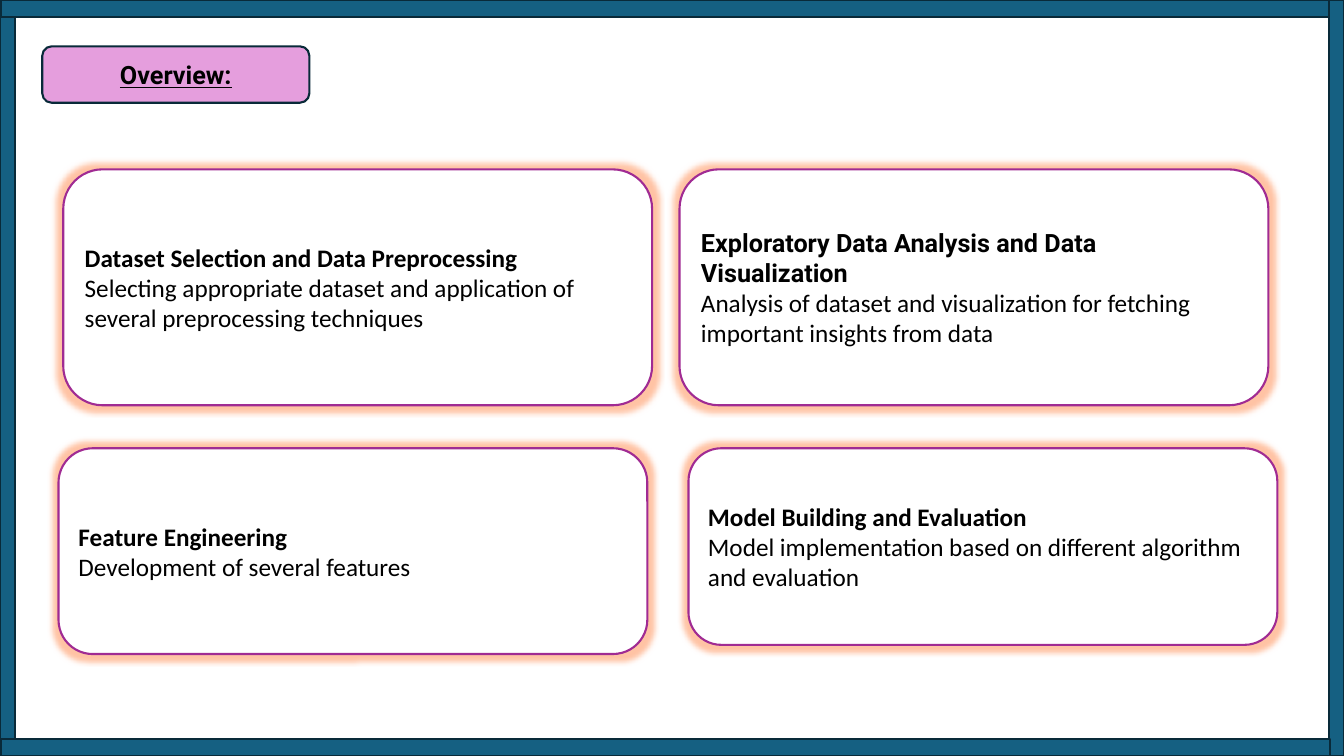
import pptx
import pptx.dml.color
import pptx.enum.shapes
import pptx.enum.text
import pptx.oxml
import pptx.oxml.ns
import pptx.util

Pt = pptx.util.Pt
SHAPES = pptx.enum.shapes.MSO_SHAPE
ALIGN = pptx.enum.text.PP_ALIGN

TITLE = "Overview:"
TITLE_AREA = (30.2, 33.1, 190.8, 40.3)

# left, top, height, heading, heading font, description
CARDS = [
    (45.2, 121, 168.5, "Dataset Selection and Data Preprocessing", "Calibri",
     "Selecting appropriate dataset and application of several preprocessing techniques"),
    (485.4, 121, 168.5, "Exploratory Data Analysis and Data Visualization", "Roboto",
     "Analysis of dataset and visualization for fetching important insights from data"),
    (491.8, 320.2, 140.4, "Model Building and Evaluation", "Calibri",
     "Model implementation based on different algorithm and evaluation"),
    (41.8, 320.2, 147, "Feature Engineering", "Calibri",
     "Development of several features"),
]
CARD_WIDTH = 420.6

PAGE_WIDTH, PAGE_HEIGHT = 960, 540
SIDE_BAR, END_BAR = 10.8, 12.2

THEME = {
    "bar": "156082", "edge": "092A39", "title": "E59EDD",
    "card": "FFFFFF", "card_edge": "A02B93", "glow": "FF6A1D",
    "text": "000000", "size": 18, "line": 1.5,
    "glow_radius": 8, "glow_alpha": 40000, "body_font": "Calibri",
}


def colour(name):
    return pptx.dml.color.RGBColor.from_string(THEME[name])


def add_box(page, kind, area, fill, edge):
    box = page.shapes.add_shape(kind, *(Pt(length) for length in area))
    box.shadow.inherit = False
    box.fill.solid()
    box.fill.fore_color.rgb = colour(fill)
    box.line.color.rgb = colour(edge)
    box.line.width = Pt(THEME["line"])
    box.text_frame.word_wrap = True
    box.text_frame.vertical_anchor = pptx.enum.text.MSO_ANCHOR.MIDDLE
    return box


def write(para, text, font, align=ALIGN.LEFT, bold=False, underline=False):
    para.alignment = align
    span = para.add_run()
    span.text = text
    span.font.name = font
    span.font.size = Pt(THEME["size"])
    span.font.bold = bold
    span.font.underline = underline
    span.font.color.rgb = colour("text")


def add_glow(box):
    effects = box.element.spPr.find(pptx.oxml.ns.qn("a:effectLst"))
    effects.append(pptx.oxml.parse_xml(
        f'<a:glow {pptx.oxml.ns.nsdecls("a")} rad="{Pt(THEME["glow_radius"])}">'
        f'<a:srgbClr val="{THEME["glow"]}"><a:alpha val="{THEME["glow_alpha"]}"/>'
        '</a:srgbClr></a:glow>'))


def add_frame(page):
    """Draw the four bars along the slide's edges."""
    inner_width = PAGE_WIDTH - SIDE_BAR
    for area in [
        (0, 0, SIDE_BAR, PAGE_HEIGHT),
        (0.7, 0, inner_width, END_BAR),
        (inner_width, 0, SIDE_BAR, PAGE_HEIGHT),
        (0.7, PAGE_HEIGHT - END_BAR, inner_width, END_BAR),
    ]:
        add_box(page, SHAPES.RECTANGLE, area, "bar", "edge")


def main():
    deck = pptx.Presentation()
    deck.slide_width, deck.slide_height = Pt(PAGE_WIDTH), Pt(PAGE_HEIGHT)
    page = deck.slides.add_slide(deck.slide_layouts[6])

    title = add_box(page, SHAPES.ROUNDED_RECTANGLE, TITLE_AREA, "title", "edge")
    write(title.text_frame.paragraphs[0], TITLE, "Roboto", ALIGN.CENTER, True, True)

    for left, top, height, heading, font, description in CARDS:
        card = add_box(page, SHAPES.ROUNDED_RECTANGLE,
                       (left, top, CARD_WIDTH, height), "card", "card_edge")
        add_glow(card)
        write(card.text_frame.paragraphs[0], heading, font, bold=True)
        write(card.text_frame.add_paragraph(), description, THEME["body_font"])

    add_frame(page)
    deck.save("out.pptx")


if __name__ == "__main__":
    main()
